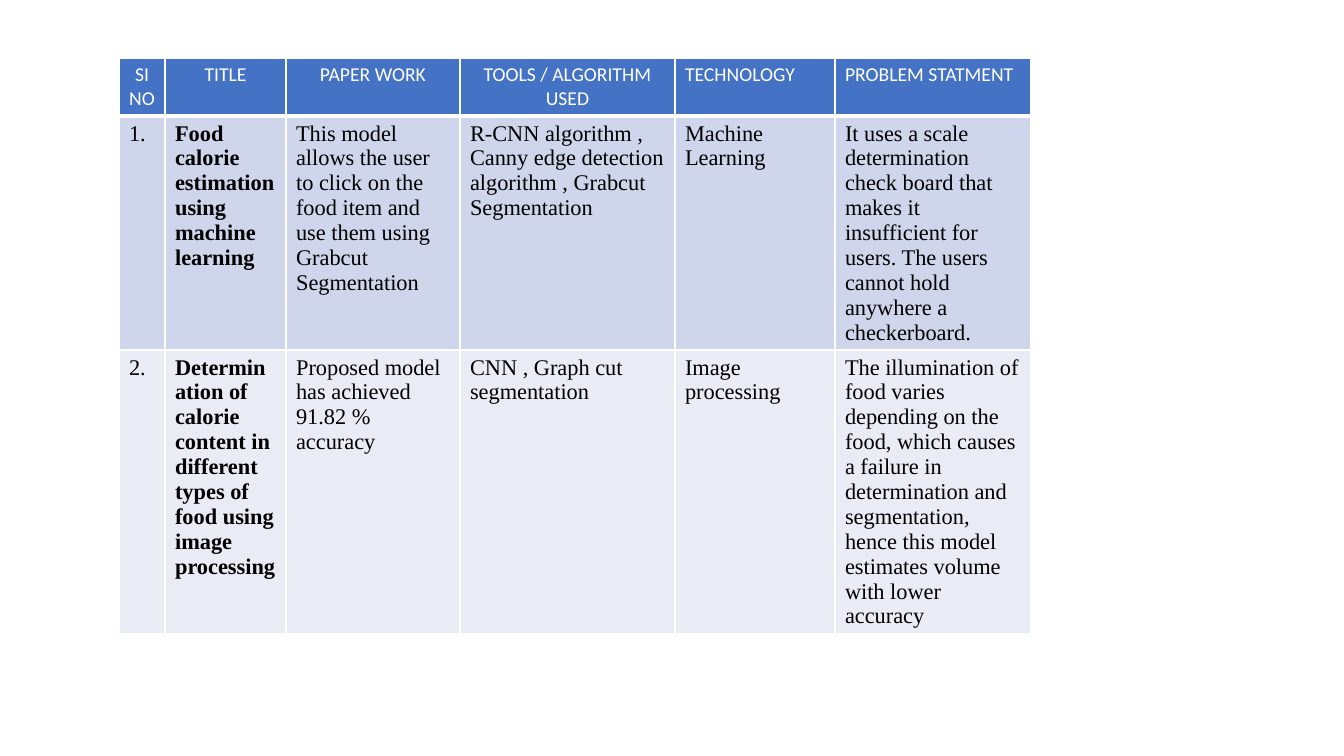
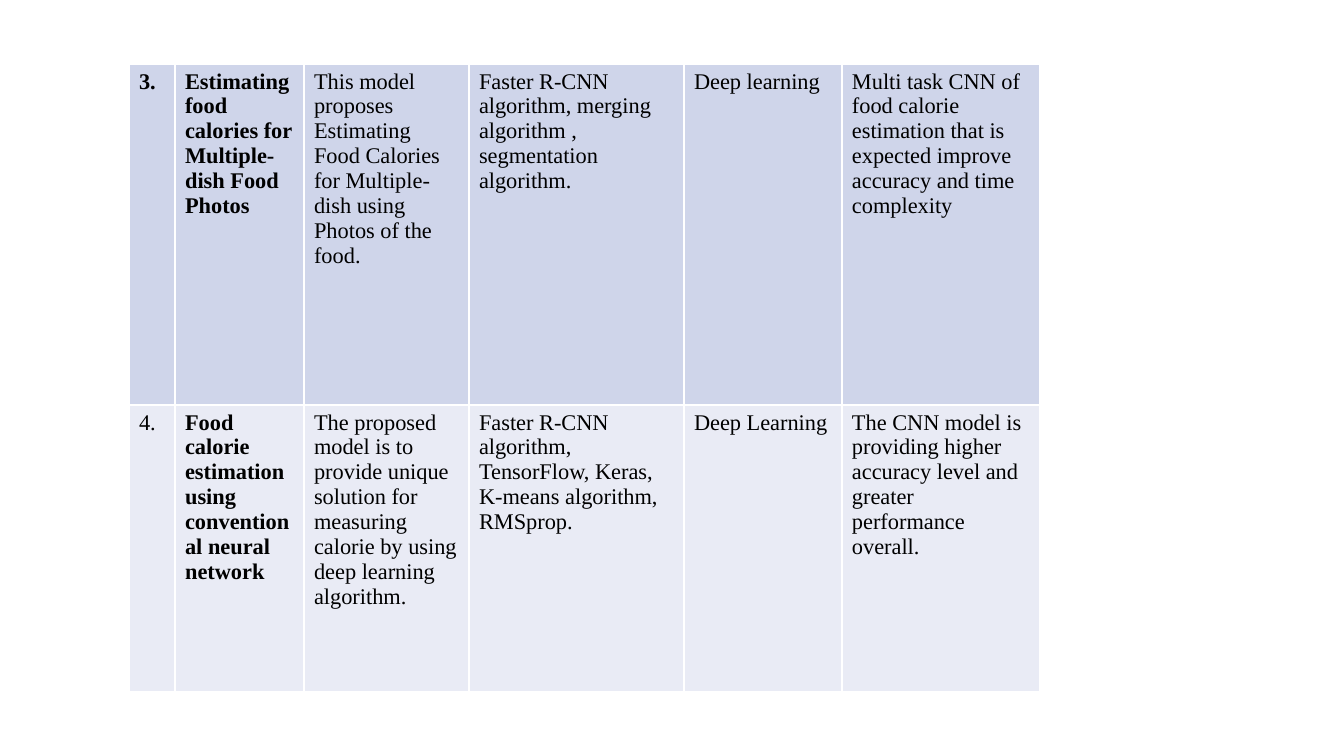
from dataclasses import dataclass
from lxml.etree import fromstring
from pptx import Presentation
from pptx.dml.color import RGBColor
from pptx.enum.text import PP_ALIGN
from pptx.util import Pt

SCALE = 914400 / 100.8
NS = "http://schemas.openxmlformats.org/drawingml/2006/main"


@dataclass
class Theme:
    blue: str = "4472C4"
    odd: str = "CFD5EA"
    even: str = "E9EBF5"
    black: str = "000000"
    white: str = "FFFFFF"
    rule: float = 1
    thick: float = 3


theme = Theme()
head = {"name": "Calibri", "size": Pt(14), "bold": False}
body = {"name": "Times New Roman", "size": Pt(16), "bold": False}
strong = body | {"bold": True}


def emu(px):
    return round(px * SCALE)


def style(cell, font, ink, fill, align, base):
    cell.fill.solid()
    cell.fill.fore_color.rgb = RGBColor.from_string(fill)
    for para in cell.text_frame.paragraphs:
        para.alignment = align
        for run in para.runs:
            for key, value in font.items():
                setattr(run.font, key, value)
            run.font.color.rgb = RGBColor.from_string(ink)
    props = cell._tc.get_or_add_tcPr()
    for spot, side in enumerate("LRTB"):
        width = Pt(base if side == "B" else theme.rule)
        props.insert(spot, fromstring(
            f'<a:ln{side} xmlns:a="{NS}" w="{width}"><a:solidFill>'
            f'<a:srgbClr val="{theme.white}"/></a:solidFill></a:ln{side}>'))


pages = [
    {
        "at": (119, 58),
        "cols": [46, 121, 174, 215, 160, 196],
        "rows": [58, 234, 284],
        "cells": [
            ["SI NO", "TITLE", "PAPER WORK", "TOOLS / ALGORITHM USED",
             "TECHNOLOGY", "PROBLEM STATMENT"],
            ["1.", "Food calorie estimation using machine learning",
             "This model allows the user to click on the food item and use "
             "them using Grabcut Segmentation",
             "R-CNN algorithm , Canny edge detection algorithm , Grabcut "
             "Segmentation",
             "Machine Learning",
             "It uses a scale determination check board that makes it "
             "insufficient for users. The users cannot hold anywhere a "
             "checkerboard."],
            ["2.", "Determination of calorie content in different types of "
             "food using image processing",
             "Proposed model has achieved\n91.82 % accuracy",
             "CNN , Graph cut segmentation",
             "Image processing",
             "The illumination of food varies depending on the food, which "
             "causes a failure in determination and segmentation, hence this "
             "model estimates volume with lower accuracy"],
        ],
    },
    {
        "at": (129, 64),
        "cols": [46, 129, 165, 215, 158, 198],
        "rows": [341, 287],
        "cells": [
            ["3.", "Estimating food calories for Multiple-dish Food Photos",
             "This model proposes Estimating Food Calories for Multiple-dish "
             "using Photos of the food.",
             "Faster R-CNN algorithm, merging algorithm , segmentation "
             "algorithm.",
             "Deep learning",
             "Multi task CNN of food calorie estimation that is expected "
             "improve accuracy and time complexity"],
            ["4.", "Food calorie estimation using conventional neural network",
             "The proposed model is to provide unique solution for measuring "
             "calorie by using deep learning algorithm.",
             "Faster R-CNN algorithm, TensorFlow, Keras, K-means algorithm, "
             "RMSprop.",
             "Deep Learning",
             "The CNN model is providing higher accuracy level and greater "
             "performance overall."],
        ],
    },
]

deck = Presentation()
deck.slide_width, deck.slide_height = emu(1344), emu(756)

for page in pages:
    slide = deck.slides.add_slide(deck.slide_layouts[6])
    cols, rows, cells = page["cols"], page["rows"], page["cells"]
    left, top = page["at"]
    table = slide.shapes.add_table(
        len(rows), len(cols), emu(left), emu(top),
        emu(sum(cols)), emu(sum(rows))).table
    table.first_row = table.horz_banding = False
    for col, width in zip(table.columns, cols):
        col.width = emu(width)
    for row, height, texts in zip(table.rows, rows, cells):
        row.height = emu(height)
        label = texts[0]
        for num, (cell, text) in enumerate(zip(row.cells, texts)):
            cell.text = text
            if label == "SI NO":
                align = PP_ALIGN.CENTER if num < 4 else PP_ALIGN.LEFT
                style(cell, head, theme.white, theme.blue, align, theme.thick)
            else:
                font = strong if num == 1 or text == "3." else body
                fill = theme.odd if label in ("1.", "3.") else theme.even
                style(cell, font, theme.black, fill, PP_ALIGN.LEFT, theme.rule)

deck.save("out.pptx")
